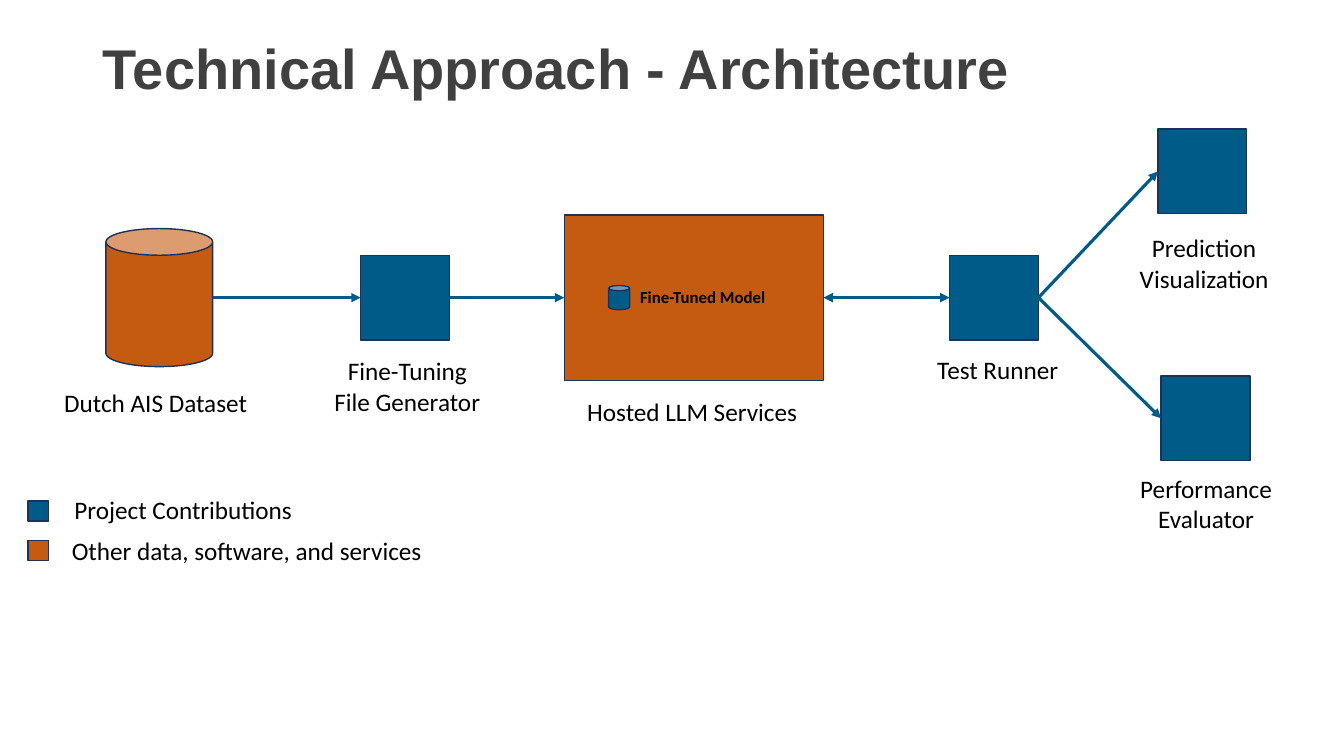
import pptx
import pptx.util
import pptx.dml.color
import pptx.enum.shapes
import pptx.enum.text
import pptx.oxml
import pptx.oxml.ns

Cm = pptx.util.Cm
Pt = pptx.util.Pt
RGB = pptx.dml.color.RGBColor.from_string
Shape = pptx.enum.shapes.MSO_SHAPE
Align = pptx.enum.text.PP_ALIGN
Anchor = pptx.enum.text.MSO_ANCHOR

TITLE = "Technical Approach - Architecture"
SQUARE = (2.24, 2.13)
ROW_Y = 7.5

NODES = {
    "dataset": ("can", "other", 2.67, ROW_Y, (2.69, 3.48)),
    "generator": ("box", "project", 9.09, ROW_Y, SQUARE),
    "services": ("box", "other", 14.22, ROW_Y, (6.53, 4.17)),
    "model": ("can", "project", 15.34, ROW_Y, (0.53, 0.61)),
    "runner": ("box", "project", 23.93, ROW_Y, SQUARE),
    "evaluator": ("box", "project", 29.26, 10.54, SQUARE),
    "visualization": ("box", "project", 29.18, 4.32, SQUARE),
}
LABELS = [
    (["Dutch AIS Dataset"], "label", "left", 1.37, 9.63, 5.23),
    (["Fine-Tuning", "File Generator"], "label", "center", 8.08, 8.84, 4.37),
    (["Hosted LLM Services"], "label", "left", 14.55, 9.86, 6.12),
    (["Fine-Tuned Model"], "model", "left", 15.88, 7.11, 6.12),
    (["Test Runner"], "label", "left", 23.37, 8.81, 3.58),
    (["Performance Evaluator"], "label", "center", 28.45, 11.79, 3.89),
    (["Prediction Visualization"], "label", "center", 28.4, 5.74, 3.89),
    (["Project Contributions"], "label", "center", 1.37, 12.32, 6.5),
    (["Other data, software, and services"], "label", "center", 1.24, 13.36, 9.96),
]
FLOWS = [
    ("dataset", "generator", ["tailEnd"]),
    ("generator", "services", ["tailEnd"]),
    ("services", "runner", ["headEnd", "tailEnd"]),
    ("runner", "visualization", ["tailEnd"]),
    ("runner", "evaluator", ["tailEnd"]),
]
LEGEND = {"left": 0.71, "size": (0.51, 0.51), "middles": {"project": 12.88, "other": 13.87}}

THEME = {
    "fills": {"project": RGB("005B88"), "other": RGB("C55A11")},
    "outline": RGB("1E3256"),
    "outline_width": Pt(1),
    "flow": RGB("005B88"),
    "flow_width": Pt(2.25),
    "fonts": {
        "title": {"name": "Arial", "size": Pt(40), "bold": True, "color": RGB("404040")},
        "label": {"name": "Calibri", "size": Pt(18), "bold": False, "color": RGB("000000")},
        "model": {"name": "Calibri", "size": Pt(12), "bold": True, "color": RGB("000000")},
    },
}
KINDS = {"can": Shape.CAN, "box": Shape.RECTANGLE}
ALIGNMENTS = {"left": Align.LEFT, "center": Align.CENTER}


def style_font(font, role):
    for attribute, value in THEME["fonts"][role].items():
        if attribute == "color":
            font.color.rgb = value
        else:
            setattr(font, attribute, value)


def add_node(slide, kind, role, left, middle, size):
    width, height = size
    node = slide.shapes.add_shape(
        KINDS[kind], Cm(left), Cm(middle - height / 2), Cm(width), Cm(height))
    node.shadow.inherit = False
    node.fill.solid()
    node.fill.fore_color.rgb = THEME["fills"][role]
    node.line.color.rgb = THEME["outline"]
    node.line.width = THEME["outline_width"]


def add_label(slide, lines, role, alignment, left, top, width):
    label = slide.shapes.add_textbox(Cm(left), Cm(top), Cm(width), Cm(1.02))
    frame = label.text_frame
    frame.word_wrap = True
    frame.auto_size = pptx.enum.text.MSO_AUTO_SIZE.SHAPE_TO_FIT_TEXT
    frame.text = "\n".join(lines)
    for paragraph in frame.paragraphs:
        paragraph.alignment = ALIGNMENTS[alignment]
        style_font(paragraph.runs[0].font, role)
    if len(lines) > 1 or width == 3.89:
        label.height = Cm(1.8)


def add_flow(slide, source, target, arrowheads):
    _, _, source_left, source_y, source_size = NODES[source]
    _, _, target_left, target_y, _ = NODES[target]
    flow = slide.shapes.add_connector(
        pptx.enum.shapes.MSO_CONNECTOR.STRAIGHT,
        Cm(source_left + source_size[0]), Cm(source_y), Cm(target_left), Cm(target_y))
    flow.line.color.rgb = THEME["flow"]
    flow.line.width = THEME["flow_width"]
    outline = flow.line._get_or_add_ln()
    for end in arrowheads:
        arrowhead = pptx.oxml.parse_xml(
            f'<a:{end} {pptx.oxml.ns.nsdecls("a")} type="triangle"/>')
        outline.append(arrowhead)
    flow._element.spPr.append(
        pptx.oxml.parse_xml(f'<a:effectLst {pptx.oxml.ns.nsdecls("a")}/>'))


def add_title(slide):
    title = slide.shapes.title
    place = {"left": Cm(2.34), "top": Cm(0.33), "width": Cm(29.16), "height": Cm(2.92)}
    for attribute, value in place.items():
        setattr(title, attribute, value)
    title.text_frame.text = TITLE
    title.text_frame.vertical_anchor = Anchor.MIDDLE
    heading = title.text_frame.paragraphs[0]
    heading.alignment = Align.LEFT
    heading.line_spacing = 0.9
    style_font(heading.runs[0].font, "title")


def main():
    presentation = pptx.Presentation()
    presentation.slide_width = Cm(33.87)
    presentation.slide_height = Cm(19.05)
    slide = presentation.slides.add_slide(presentation.slide_layouts.get_by_name("Title Only"))
    add_title(slide)
    for node in NODES.values():
        add_node(slide, *node)
    for role, middle in LEGEND["middles"].items():
        add_node(slide, "box", role, LEGEND["left"], middle, LEGEND["size"])
    for label in LABELS:
        add_label(slide, *label)
    for flow in FLOWS:
        add_flow(slide, *flow)
    presentation.save("out.pptx")


if __name__ == "__main__":
    main()
